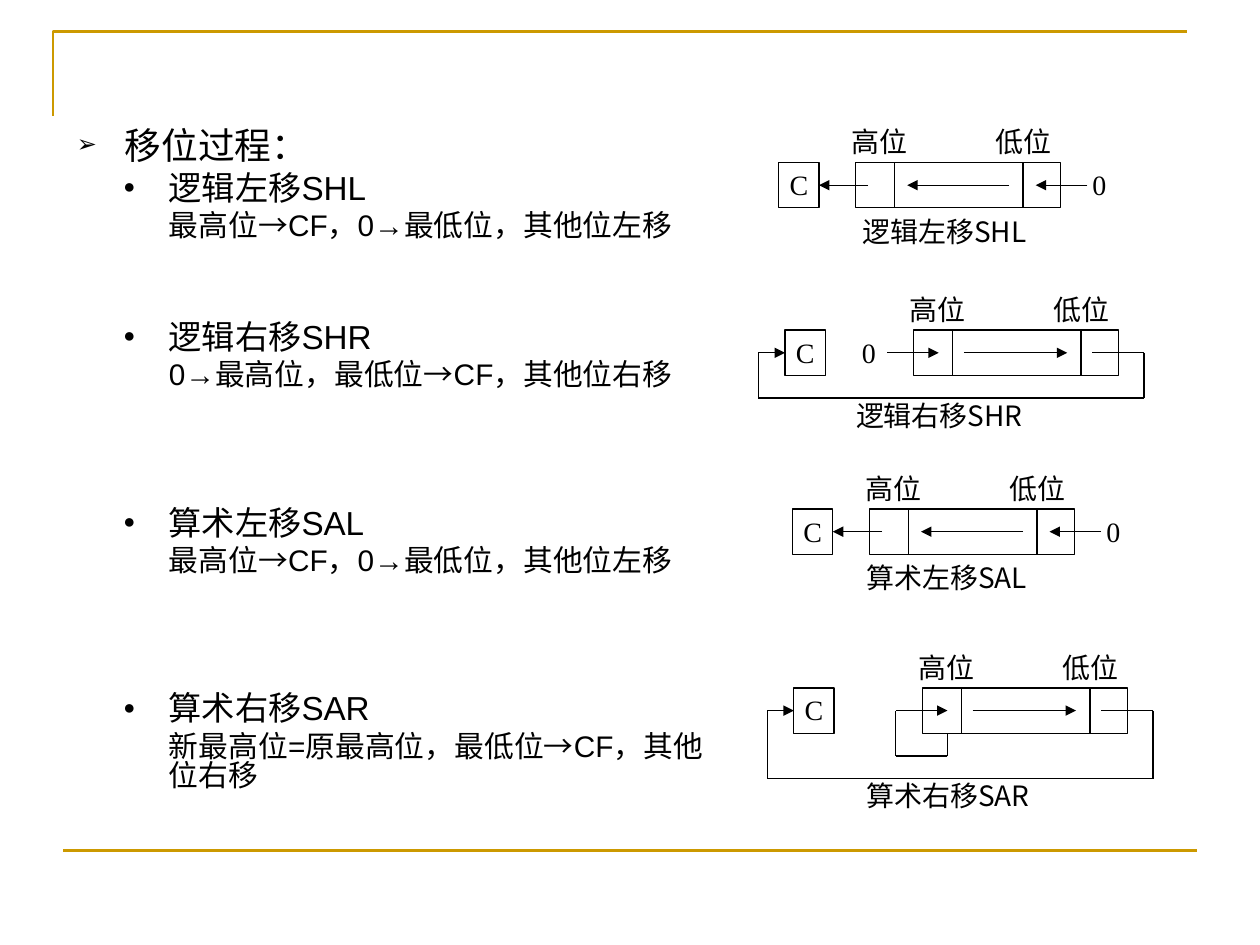
from dataclasses import dataclass
from itertools import pairwise
from typing import Any

from lxml.etree import SubElement
from pptx import Presentation
from pptx.dml.color import RGBColor
from pptx.enum.shapes import MSO_CONNECTOR, MSO_SHAPE
from pptx.enum.text import MSO_ANCHOR, MSO_AUTO_SIZE, PP_ALIGN
from pptx.oxml.ns import qn
from pptx.util import Inches, Pt


def color(value):
    """Turn a hex string into a colour."""
    return RGBColor.from_string(value)


@dataclass
class ShiftSlide:
    """Hold the style and the slide, and draw each kind of element."""

    slide: Any
    shapes: Any
    ink: str = "000000"
    gold: str = "CC9900"
    serif: str = "Times New Roman"
    sans: str = "Noto Sans CJK SC"
    body_font: str = "Arial"

    def start_group(self):
        """Send the following elements to a new group."""
        self.shapes = self.slide.shapes.add_group_shape().shapes

    def corner(self, *points):
        """Draw an open gold outline through the points."""
        (left, top), *rest = [(Inches(x), Inches(y)) for x, y in points]
        builder = self.slide.shapes.build_freeform(left, top)
        builder.add_line_segments(rest, close=False)
        outline = builder.convert_to_shape()
        outline.shadow.inherit = False
        outline.fill.background()
        outline.line.color.rgb = color(self.gold)
        outline.line.width = Pt(1.5)

    def line(self, start, end, arrow=False, tint=None, width=0.75):
        """Draw a straight line, with an arrowhead at its end if asked."""
        connector = self.shapes.add_connector(
            MSO_CONNECTOR.STRAIGHT, *(Inches(v) for v in (*start, *end)))
        connector.line.color.rgb = color(tint or self.ink)
        connector.line.width = Pt(width)
        properties = connector._element.spPr
        if arrow:
            SubElement(properties.find(qn("a:ln")), qn("a:tailEnd"), type="triangle")
        SubElement(properties, qn("a:effectLst"))
        return connector

    def route(self, *points):
        """Draw joined lines through the points."""
        for start, end in pairwise(points):
            self.line(start, end)

    def box(self, left, top, width):
        """Draw an outlined cell row."""
        cell = self.shapes.add_shape(
            MSO_SHAPE.RECTANGLE, Inches(left), Inches(top), Inches(width), Inches(0.36))
        cell.shadow.inherit = False
        cell.fill.background()
        cell.line.color.rgb = color(self.ink)
        cell.line.width = Pt(0.75)
        return cell

    def fill_text(self, frame, words, font, align, inset=(0, 0)):
        """Put one styled paragraph into a text frame."""
        frame.word_wrap = True
        frame.vertical_anchor = MSO_ANCHOR.TOP
        frame.margin_left, frame.margin_top = (Inches(v) for v in inset)
        frame.margin_right = frame.margin_bottom = 0
        paragraph = frame.paragraphs[0]
        paragraph.text = words
        paragraph.alignment = align
        if "\t" in words:
            tabs = SubElement(paragraph._p.get_or_add_pPr(), qn("a:tabLst"))
            SubElement(tabs, qn("a:tab"), pos=str(Inches(1.14)), algn="l")
        paragraph.font.size = Pt(16)
        paragraph.font.name = font
        paragraph.font.color.rgb = color(self.ink)

    def label(self, words, left, top, width, height, font=None,
              align=PP_ALIGN.LEFT, inset=(0, 0)):
        """Add a text box."""
        area = self.shapes.add_textbox(
            Inches(left), Inches(top), Inches(width), Inches(height))
        self.fill_text(area.text_frame, words, font or self.serif, align, inset)

    def register(self, x, y, carry_x):
        """Draw the register with its bit labels and return the carry cell."""
        self.start_group()
        self.box(x, y, 1.63)
        for divider in (x + 0.31, x + 1.33):
            self.line((divider, y), (divider, y + 0.36))
        self.label("高位\t低位", x - 0.2, y - 0.3, 2.04, 0.29, inset=(0.17, 0))
        carry = self.box(carry_x, y, 0.32)
        self.fill_text(carry.text_frame, "C", self.serif, PP_ALIGN.CENTER, (0, 0.04))
        return carry

    def caption(self, words, left, top):
        """Name the operation under its register."""
        self.label(words, left, top, 1.63, 0.32, self.sans, PP_ALIGN.CENTER)

    def left_shift(self, name, x, y, caption_x):
        """Draw a shift from the zero at the right into the carry cell."""
        carry = self.register(x, y, x - 0.61)
        middle = y + 0.18
        self.line((x + 0.1, middle), (x - 0.29, middle), True).end_connect(carry, 3)
        self.line((x + 1.22, middle), (x + 0.41, middle), True)
        self.line((x + 1.84, middle), (x + 1.43, middle), True)
        self.label("0", x + 1.84, y, 0.2, 0.36, inset=(0.04, 0.04))
        self.caption(name, caption_x, y + 0.41)

    def right_shift(self, name, x, y, depth, keeps_sign):
        """Draw a shift whose lowest bit runs round into the carry cell."""
        carry = self.register(x, y, x - 1.02)
        middle, bottom = y + 0.18, y + depth
        self.line((x + 0.4, middle), (x + 1.22, middle), True)
        self.line((x - 0.21, middle), (x + 0.2, middle), True)
        self.route((x + 1.42, middle), (x + 1.83, middle), (x + 1.83, bottom),
                   (x - 1.23, bottom), (x - 1.23, middle))
        self.line((x - 1.23, middle), (x - 1.02, middle), True).end_connect(carry, 1)
        if keeps_sign:
            self.route((x + 0.2, y + 0.36), (x + 0.2, y + 0.54),
                       (x - 0.21, y + 0.54), (x - 0.21, middle))
        else:
            self.label("0", x - 0.41, y, 0.2, 0.36, inset=(0, 0.04))
        self.caption(name, x - 0.61, bottom)

    def body(self, entries):
        """Fill the body placeholder with bulleted and plain lines."""
        outline = self.slide.placeholders[1]
        outline.left, outline.top = Inches(0.51), Inches(0.99)
        outline.width, outline.height = Inches(5.28), Inches(5.67)
        frame = outline.text_frame
        frame.auto_size = MSO_AUTO_SIZE.NONE
        for index, (words, size, before, bullet) in enumerate(entries):
            paragraph = frame.add_paragraph() if index else frame.paragraphs[0]
            paragraph.text = words
            paragraph.level = min(index, 1)
            margin, hanging = (0.73, 0.36) if index else (0.38, 0.38)
            properties = paragraph._p.get_or_add_pPr()
            properties.set("marL", str(Inches(margin)))
            properties.set("indent", str(-Inches(hanging) if bullet else 0))
            if bullet:
                tint = SubElement(properties, qn("a:buClr"))
                SubElement(tint, qn("a:srgbClr"), val=self.ink)
                SubElement(properties, qn("a:buSzPct"), val="60000" if index else "65000")
                SubElement(properties, qn("a:buFont"), typeface=self.body_font)
                SubElement(properties, qn("a:buChar"), char=bullet)
            else:
                SubElement(properties, qn("a:buNone"))
            paragraph.line_spacing = 0.8
            paragraph.space_before = Pt(before)
            paragraph.font.size = Pt(size)
            paragraph.font.name = self.body_font
            paragraph.font.color.rgb = color(self.ink)


def main():
    """Build and save the slide."""
    deck = Presentation()
    deck.slide_width, deck.slide_height = Inches(10), Inches(7.5)
    slide = deck.slides.add_slide(deck.slide_layouts[1])
    title = slide.shapes.title._element
    title.getparent().remove(title)
    page = ShiftSlide(slide, slide.shapes)
    page.corner((0.42, 0.92), (0.42, 0.25), (9.42, 0.25))
    page.line((0.5, 6.75), (9.5, 6.75), tint=page.gold, width=1.5)

    operations = [
        ("逻辑左移SHL", "最高位→CF，0→最低位，其他位左移", 4.8),
        ("逻辑右移SHR", "0→最高位，最低位→CF，其他位右移", 46.5),
        ("算术左移SAL", "最高位→CF，0→最低位，其他位左移", 67.4),
        ("算术右移SAR", "新最高位=原最高位，最低位→CF，其他位右移", 67.4),
    ]
    entries = [("移位过程：", 21, 0, "➢")]
    for name, rule, before in operations:
        entries += [(name, 19, before, "●"), (rule, 17, 4.2, None)]
    page.body(entries)

    shl, shr, sal, sar = (name for name, _, _ in operations)
    page.left_shift(shl, 6.79, 1.29, 6.68)
    page.right_shift(shr, 7.25, 2.62, 0.54, False)
    page.left_shift(sal, 6.9, 4.04, 6.7)
    page.right_shift(sar, 7.32, 5.46, 0.72, True)
    deck.save("out.pptx")


if __name__ == "__main__":
    main()
